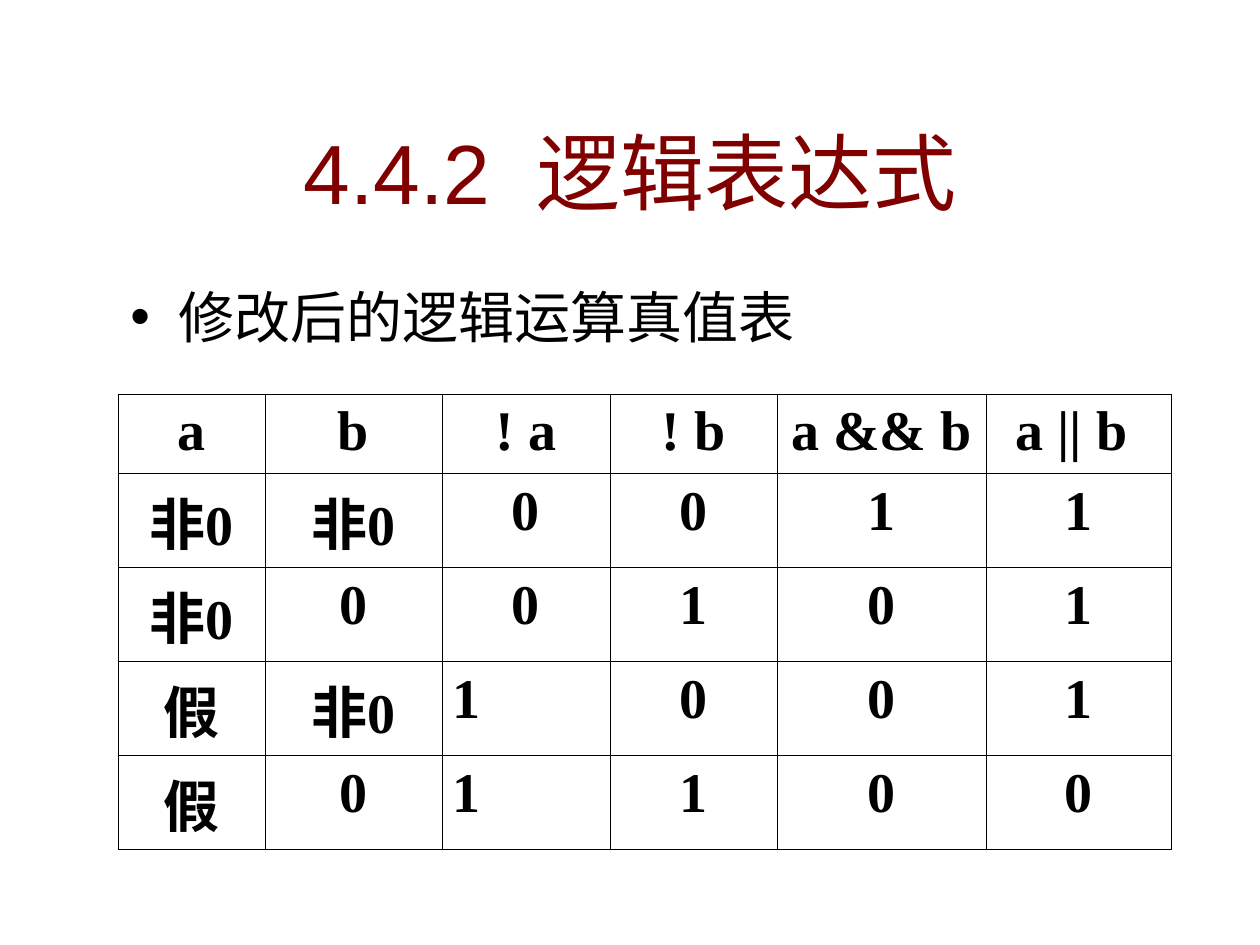
from lxml import etree
from pptx import Presentation
from pptx import util as u
from pptx.dml.color import RGBColor
from pptx.enum import text
from pptx.oxml.ns import qn

PX = 7257  # EMU per px, 126 px to the inch
MAROON = RGBColor(0x80, 0x00, 0x00)
BLACK = RGBColor(0x00, 0x00, 0x00)

COLUMN_WIDTHS = (147, 177, 168, 167, 209, 185)
HEADER_HEIGHT, ROW_HEIGHT = 75, 94
TRUTH_TABLE = (
    ("a", "b", "! a", "! b", "a && b", "a || b "),
    ("非0", "非0", "0", "0", "1", "1"),
    ("非0", "0", "0", "1", "0", "1"),
    ("假", "非0", "1", "0", "0", "1"),
    ("假", "0", "1", "1", "0", "0"),
)
JUSTIFIED_CELLS = {(3, 2), (4, 2)}


def px(*lengths):
    return [u.Emu(length * PX) for length in lengths]


def format_runs(paragraph, font_name, size, color, bold=False):
    for run in paragraph.runs:
        run.font.name = font_name
        run.font.size = u.Pt(size)
        run.font.bold = bold
        run.font.color.rgb = color


def add_text_box(slide, box, anchor):
    frame = slide.shapes.add_textbox(*px(*box)).text_frame
    frame.word_wrap = True
    frame.vertical_anchor = anchor
    return frame.paragraphs[0]


def add_title(slide, number, title):
    paragraph = add_text_box(slide, (49, 113, 1162, 115), text.MSO_ANCHOR.MIDDLE)
    paragraph.alignment = text.PP_ALIGN.CENTER
    for part in (number, " ", title):
        paragraph.add_run().text = part
    format_runs(paragraph, "Arial", 48, MAROON)
    # Widen the gap after the section number
    paragraph.runs[1].font._element.set("spc", "1300")


def add_bullet(slide, wording):
    paragraph = add_text_box(slide, (118, 276, 777, 108), text.MSO_ANCHOR.TOP)
    paragraph.text = wording
    properties = paragraph._p.get_or_add_pPr()
    indent = px(48)[0]
    properties.set("marL", str(indent))
    properties.set("indent", str(-indent))
    color = etree.SubElement(properties, qn("a:buClr"))
    etree.SubElement(color, qn("a:srgbClr"), val=str(BLACK))
    etree.SubElement(properties, qn("a:buFont"), typeface="Arial")
    etree.SubElement(properties, qn("a:buChar"), char="•")
    format_runs(paragraph, "Calibri", 32, BLACK)


def add_borders(cell):
    properties = cell._tc.get_or_add_tcPr()
    for position, side in enumerate(("a:lnL", "a:lnR", "a:lnT", "a:lnB")):
        line = etree.Element(qn(side), w=str(u.Pt(0.45)))
        fill = etree.SubElement(line, qn("a:solidFill"))
        etree.SubElement(fill, qn("a:srgbClr"), val=str(BLACK))
        properties.insert(position, line)


def fill_cell(cell, wording, alignment):
    cell.fill.background()
    cell.margin_left = cell.margin_right = u.Inches(0.08)
    cell.margin_top = cell.margin_bottom = u.Inches(0.05)
    paragraph = cell.text_frame.paragraphs[0]
    paragraph.text = wording
    paragraph.alignment = alignment
    format_runs(paragraph, "Times New Roman", 32, BLACK, bold=True)
    add_borders(cell)


def add_truth_table(slide):
    heights = [HEADER_HEIGHT] + [ROW_HEIGHT] * (len(TRUTH_TABLE) - 1)
    box = px(118, 394, sum(COLUMN_WIDTHS), sum(heights))
    table = slide.shapes.add_table(len(heights), len(COLUMN_WIDTHS), *box).table
    table.first_row = table.horz_banding = False
    for column, width in zip(table.columns, px(*COLUMN_WIDTHS)):
        column.width = width
    for row, height in zip(table.rows, px(*heights)):
        row.height = height
    for i, values in enumerate(TRUTH_TABLE):
        for j, value in enumerate(values):
            justified = (i, j) in JUSTIFIED_CELLS
            alignment = text.PP_ALIGN.JUSTIFY if justified else text.PP_ALIGN.CENTER
            fill_cell(table.cell(i, j), value, alignment)


def main():
    presentation = Presentation()
    presentation.slide_width, presentation.slide_height = px(1260, 945)
    slide = presentation.slides.add_slide(presentation.slide_layouts[6])
    # Heading and bullet
    add_title(slide, "4.4.2", "逻辑表达式")
    add_bullet(slide, "修改后的逻辑运算真值表")
    # Truth table
    add_truth_table(slide)
    presentation.save("out.pptx")


if __name__ == "__main__":
    main()
